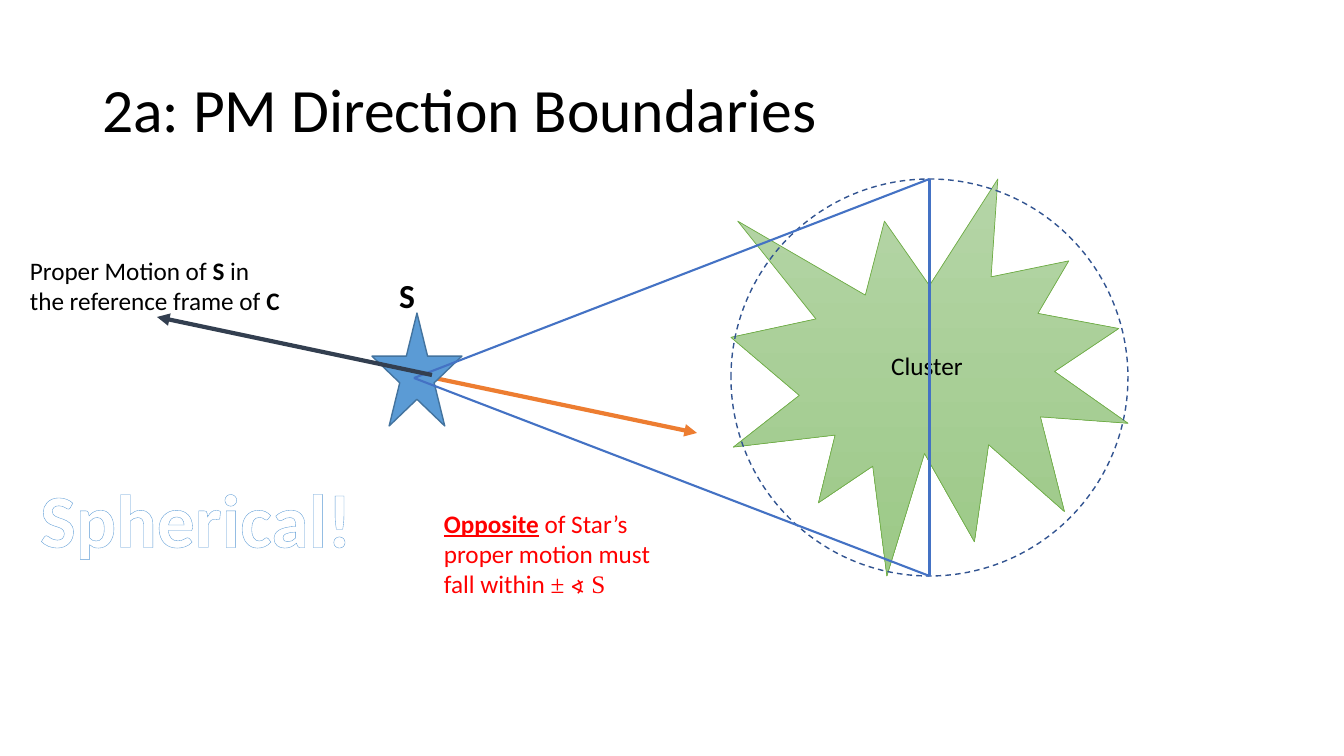
from lxml import etree
from pptx import Presentation
from pptx.dml.color import RGBColor
from pptx.enum.dml import MSO_LINE
from pptx.enum.shapes import MSO_CONNECTOR, MSO_SHAPE
from pptx.enum.text import MSO_ANCHOR, MSO_AUTO_SIZE, PP_ALIGN
from pptx.oxml.ns import qn
from pptx.util import Pt

COLORS = {
    "black": "000000", "white": "FFFFFF", "red": "FF0000",
    "orange": "ED7D31", "navy": "333F50", "sightline": "4472C4",
    "star": "5B9BD5", "star_edge": "43739E", "circle": "325491",
    "cluster_top": "B5D5A7", "cluster_bottom": "9CC987", "cluster_edge": "70AD47",
}
TITLE = "2a: PM Direction Boundaries"
TITLE_BOX = (92, 40, 1159, 146)
STAR_BOX = (372, 313, 90, 113)
CLUSTER_BOX = (731, 179, 397, 397)
APEX = (414, 378)
OPPOSITE_MOTION = ((420, 375), (697, 433))
PROPER_MOTION = ((432, 375), (157, 317))

LABELS = [
    {"box": (367, 270, 80, 77), "size": 24, "color": "black", "align": PP_ALIGN.CENTER,
     "runs": [("S", "b")]},
    {"box": (434, 503, 228, 102), "size": 18, "color": "red",
     "runs": [("Opposite", "bu"), (" of Star’s proper motion must fall within ", ""),
              ("± ∢ S", "t")]},
    {"box": (20, 250, 272, 72), "size": 18, "color": "black",
     "runs": [("Proper Motion of ", ""), ("S", "b"),
              (" in the reference frame of ", ""), ("C", "b")]},
    {"box": (28, 467, 336, 102), "size": 54, "color": "white", "align": PP_ALIGN.CENTER,
     "wrap": False, "outline": "star", "runs": [("Spherical!", "b")]},
]

EMU_PER_PX = 914400 / 100.8


def px(*values):
    return [round(v * EMU_PER_PX) for v in values]


def rgb(name):
    return RGBColor.from_string(COLORS[name])


def set_line(line, color, width):
    line.color.rgb = rgb(color)
    line.width = Pt(width)


def write(frame, runs, size, color, align=PP_ALIGN.LEFT, outline=None):
    paragraph = frame.paragraphs[0]
    paragraph.alignment = align
    for text, style in runs:
        run = paragraph.add_run()
        run.text = text
        font = run.font
        font.name = "Times New Roman" if "t" in style else "Calibri"
        font.size, font.bold, font.underline = Pt(size), "b" in style, "u" in style
        font.color.rgb = rgb(color)
        if outline:
            edge = etree.Element(qn("a:ln"), w=str(Pt(0.8)))
            fill = etree.SubElement(edge, qn("a:solidFill"))
            etree.SubElement(fill, qn("a:srgbClr"), val=COLORS[outline])
            font._element.insert(0, edge)
    return paragraph


def add_line(start, end, color, width, arrow=False):
    line = slide.shapes.add_connector(MSO_CONNECTOR.STRAIGHT, *px(*start, *end))
    set_line(line.line, color, width)
    if arrow:
        etree.SubElement(line.line._get_or_add_ln(), qn("a:tailEnd"), type="triangle")
    etree.SubElement(line._element.spPr, qn("a:effectLst"))


def add_preset(kind, box, edge, width):
    shape = slide.shapes.add_shape(kind, *px(*box))
    shape.shadow.inherit = False
    set_line(shape.line, edge, width)
    return shape


def add_label(box, wrap=True, **text):
    frame = slide.shapes.add_textbox(*px(*box)).text_frame
    frame.word_wrap = wrap
    frame.auto_size = MSO_AUTO_SIZE.SHAPE_TO_FIT_TEXT
    write(frame, **text)


prs = Presentation()
prs.slide_width, prs.slide_height = px(1344, 756)
slide = prs.slides.add_slide(prs.slide_layouts[5])

title = slide.shapes.title
title.left, title.top, title.width, title.height = px(*TITLE_BOX)
title.text_frame.vertical_anchor = MSO_ANCHOR.MIDDLE
title.text_frame.auto_size = MSO_AUTO_SIZE.NONE
write(title.text_frame, [(TITLE, "")], 44, "black").line_spacing = 0.9

add_line(*OPPOSITE_MOTION, "orange", 3, arrow=True)
star = add_preset(MSO_SHAPE.STAR_5_POINT, STAR_BOX, "star_edge", 1)
star.fill.solid()
star.fill.fore_color.rgb = rgb("star")

cluster = add_preset(MSO_SHAPE.EXPLOSION1, CLUSTER_BOX, "cluster_edge", 0.5)
cluster.fill.gradient()
cluster.fill.gradient_angle = 270
for stop, color, position in zip(cluster.fill.gradient_stops,
                                 ("cluster_top", "cluster_bottom"), (0, 1)):
    stop.color.rgb = rgb(color)
    stop.position = position
cluster.text_frame.vertical_anchor = MSO_ANCHOR.MIDDLE
write(cluster.text_frame, [("Cluster", "")], 18, "black", PP_ALIGN.CENTER)

circle = add_preset(MSO_SHAPE.OVAL, CLUSTER_BOX, "circle", 1)
circle.fill.background()
circle.line.dash_style = MSO_LINE.DASH

left, top, width, height = CLUSTER_BOX
circle_top = (left + width / 2, top)
circle_bottom = (left + width / 2, top + height)
for start, end in ((APEX, circle_top), (APEX, circle_bottom), (circle_top, circle_bottom)):
    add_line(start, end, "sightline", 1.5)

for label in LABELS:
    add_label(**label)
add_line(*PROPER_MOTION, "navy", 3, arrow=True)

prs.save("out.pptx")
